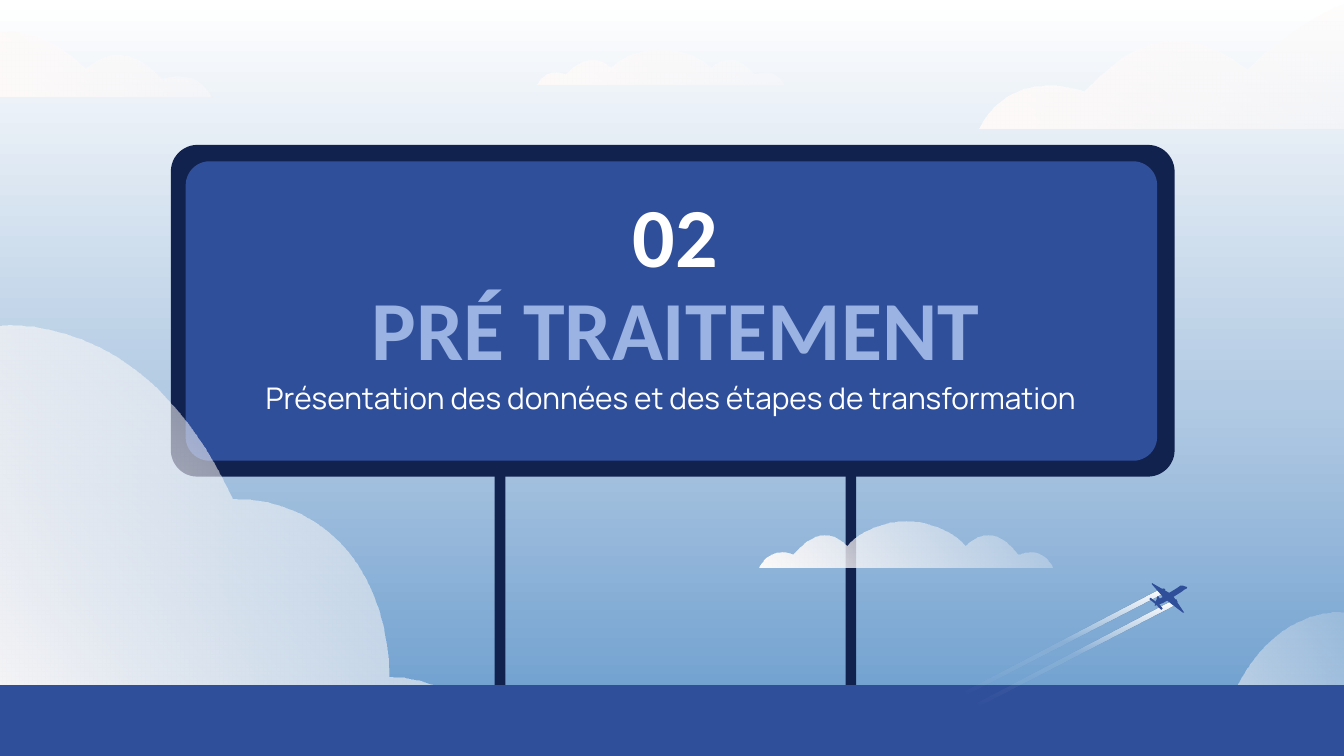
"""Build the section slide: a billboard over the sky with clouds and a plane."""
from lxml import etree
from pptx import Presentation
from pptx.dml.color import RGBColor
from pptx.enum.shapes import MSO_SHAPE
from pptx.enum.text import MSO_ANCHOR, MSO_AUTO_SIZE, PP_ALIGN
from pptx.oxml.ns import qn
from pptx.util import Cm, Pt

ROUNDED, RECTANGLE = MSO_SHAPE.ROUNDED_RECTANGLE, MSO_SHAPE.RECTANGLE
TOP, MIDDLE = MSO_ANCHOR.TOP, MSO_ANCHOR.MIDDLE
CENTER, NO_AUTOFIT = PP_ALIGN.CENTER, MSO_AUTO_SIZE.NONE
NAVY, BLUE, PALE_BLUE, WHITE, CREAM = "11224E", "304F9B", "9AB3E3", "FFFFFF", "FEFAF9"
UNIT = Cm(2.54) / 100

BANK = [(0, 0), (0, 0, 107, -17, 174, 128), (249, 128, 290, 190, 290, 260),
        (355, 260, 384, 325, 384, 325), (0, 325)]
HILL = [(0, 0), (0, 0, 63, -17, 137, 57), (193, 14, 228, 43, 258, 73),
        (318, 54, 336, 101, 336, 101), (0, 101)]
PUFF = [(109, 0), (92, 0, 76, 6, 65, 18), (59, 12, 53, 10, 48, 10),
        (39, 10, 32, 17, 25, 24), (22, 23, 19, 22, 17, 22), (4, 22, 0, 34, 0, 34),
        (218, 34), (218, 34, 213, 22, 201, 22), (198, 22, 196, 23, 192, 24),
        (186, 17, 179, 10, 170, 10), (165, 10, 159, 12, 153, 18),
        (142, 6, 125, 0, 109, 0)]
CONTRAIL = [(1, 78), (0, 75), (144, 0), (147, 3)]
PLANE = [
    [(25, 2), (23, 2), (21, 4, 13, 8, 11, 10), (5, 13), (4, 17), (10, 15),
     (10, 15, 24, 7, 26, 5), (29, 4, 28, 3, 28, 3), (27, 2, 26, 2, 25, 2)],
    [(18, 10), (12, 12), (17, 16), (25, 22), (26, 22)],
    [(20, 12), (19, 14), (20, 15), (21, 14)],
    [(7, 15), (5, 16), (9, 20), (10, 19)],
    [(2, 0), (2, 1), (9, 9), (11, 12), (16, 8)],
    [(11, 4), (9, 5), (11, 7), (12, 5)],
    [(1, 11), (0, 12), (5, 16), (5, 14)],
    [(7, 10), (6, 10), (5, 14), (8, 12)],
    [(20, 12), (18, 13), (20, 14)],
    [(10, 4), (9, 5), (10, 6)],
]

prs = Presentation()
prs.slide_width, prs.slide_height = Cm(25.4), Cm(14.29)
slide = prs.slides.add_slide(prs.slide_layouts[0])
shapes = slide.shapes


def apply_gradient(fill, holder, angle, stops):
    """Fill with (position, colour, opacity) stops along a counter-clockwise angle."""
    fill.gradient()
    fill.gradient_angle = angle
    stop_list = next(holder.iter(qn("a:gsLst")))
    for old_stop in list(stop_list):
        stop_list.remove(old_stop)
    for position, colour, opacity in stops:
        stop = etree.SubElement(stop_list, qn("a:gs"), pos=str(position * 1000))
        tint = etree.SubElement(stop, qn("a:srgbClr"), val=colour)
        if opacity < 100:
            etree.SubElement(tint, qn("a:alpha"), val=str(opacity * 1000))


def add_outline(path, left, top, scale_x=1, scale_y=1):
    """Draw a closed path of points and cubic curves, scaled from its anchor in cm."""
    points = [(round(Cm(left) + x * UNIT * scale_x), round(Cm(top) + y * UNIT * scale_y))
              for segment in path for x, y in zip(segment[::2], segment[1::2])]
    builder = shapes.build_freeform(*points[0])
    builder.add_line_segments(points[1:], close=True)
    outline = builder.convert_to_shape()
    lines = iter(list(outline.element.iter(qn("a:lnTo"))))
    for segment in path[1:]:
        line = next(lines)
        if len(segment) == 6:
            curve = etree.Element(qn("a:cubicBezTo"))
            line.addprevious(curve)
            for control in (line, next(lines), next(lines)):
                curve.append(control[0])
                control.getparent().remove(control)
    outline.line.fill.background()
    outline.shadow.inherit = False
    return outline


apply_gradient(slide.background.fill, slide.element, 90,
               [(0, "6599CC", 100), (47, "B2CAE3", 100), (100, WHITE, 100)])

panels = [
    (ROUNDED, 9.35, 5.87, 0.2, 8.43, 0.17, NAVY),
    (ROUNDED, 15.98, 5.87, 0.2, 8.43, 0.17, NAVY),
    (ROUNDED, 3.23, 2.74, 18.97, 6.27, 0.08, NAVY),
    (ROUNDED, 3.51, 3.05, 18.36, 5.66, 0.08, BLUE),
    (RECTANGLE, 0, 12.95, 25.4, 1.34, None, BLUE),
]
for preset, left, top, width, height, rounding, colour in panels:
    panel = shapes.add_shape(preset, Cm(left), Cm(top), Cm(width), Cm(height))
    if rounding:
        panel.adjustments[0] = rounding
    panel.fill.solid()
    panel.fill.fore_color.rgb = RGBColor.from_string(colour)
    panel.line.fill.background()
    panel.shadow.inherit = False
ground = panel

clouds = [
    (BANK, -0.03, 6.17, 1, 1),
    (BANK, 25.4, 11.58, -0.48, 0.48),
    (HILL, -0.03, 0.61, 0.47, 0.47),
    (HILL, 27.05, -0.13, -1, 1),
    (PUFF, 14.35, 9.86, 1, 1),
    (PUFF, 10.16, 0.94, 0.84, 0.76),
]
for path, left, top, scale_x, scale_y in clouds:
    cloud = add_outline(path, left, top, scale_x, scale_y)
    apply_gradient(cloud.fill, cloud.element, 225, [(0, CREAM, 19), (100, CREAM, 100)])
    if path is not PUFF:
        ground.element.addprevious(cloud.element)

number = shapes.add_textbox(0, 0, 0, 0)
texts = [
    (slide.placeholders[1], "Présentation des données et des étapes de transformation",
     (4.22, 6.93, 16.92, 0.99), 0.25, TOP,
     {"size": Pt(16), "name": "Manrope", "bold": False}, WHITE),
    (shapes.title, "PRÉ TRAITEMENT", (5.16, 5.13, 15.21, 2.08), 0.25, MIDDLE,
     {"size": Pt(45), "name": "Calibri", "bold": True}, PALE_BLUE),
    (number, "02", (10.39, 2.87, 4.75, 2.84), 0.5, MIDDLE,
     {"size": Pt(45), "name": "Calibri", "bold": True}, WHITE),
]
for holder, wording, box, inset_top, anchor, font_format, colour in texts:
    holder.left, holder.top, holder.width, holder.height = map(Cm, box)
    frame = holder.text_frame
    frame.text = wording
    frame_format = {"word_wrap": True, "auto_size": NO_AUTOFIT, "vertical_anchor": anchor,
                    "margin_left": Cm(0.25), "margin_right": Cm(0.25),
                    "margin_top": Cm(inset_top), "margin_bottom": Cm(0.25)}
    for attribute, value in frame_format.items():
        setattr(frame, attribute, value)
    paragraph = frame.paragraphs[0]
    paragraph.alignment = CENTER
    paragraph.space_before = Pt(0)
    font = paragraph.runs[0].font
    for attribute, value in font_format.items():
        setattr(font, attribute, value)
    font.color.rgb = RGBColor.from_string(colour)
    shapes.element.append(holder.element)

for left, top in [(18.26, 11.15), (18.47, 11.38)]:
    contrail = add_outline(CONTRAIL, left, top)
    apply_gradient(contrail.fill, contrail.element, 270,
                   [(0, WHITE, 100), (50, CREAM, 10), (100, CREAM, 0)])

for path in PLANE:
    plane_part = add_outline(path, 21.72, 11.02)
    plane_part.fill.solid()
    plane_part.fill.fore_color.rgb = RGBColor.from_string(BLUE)

prs.save("out.pptx")
